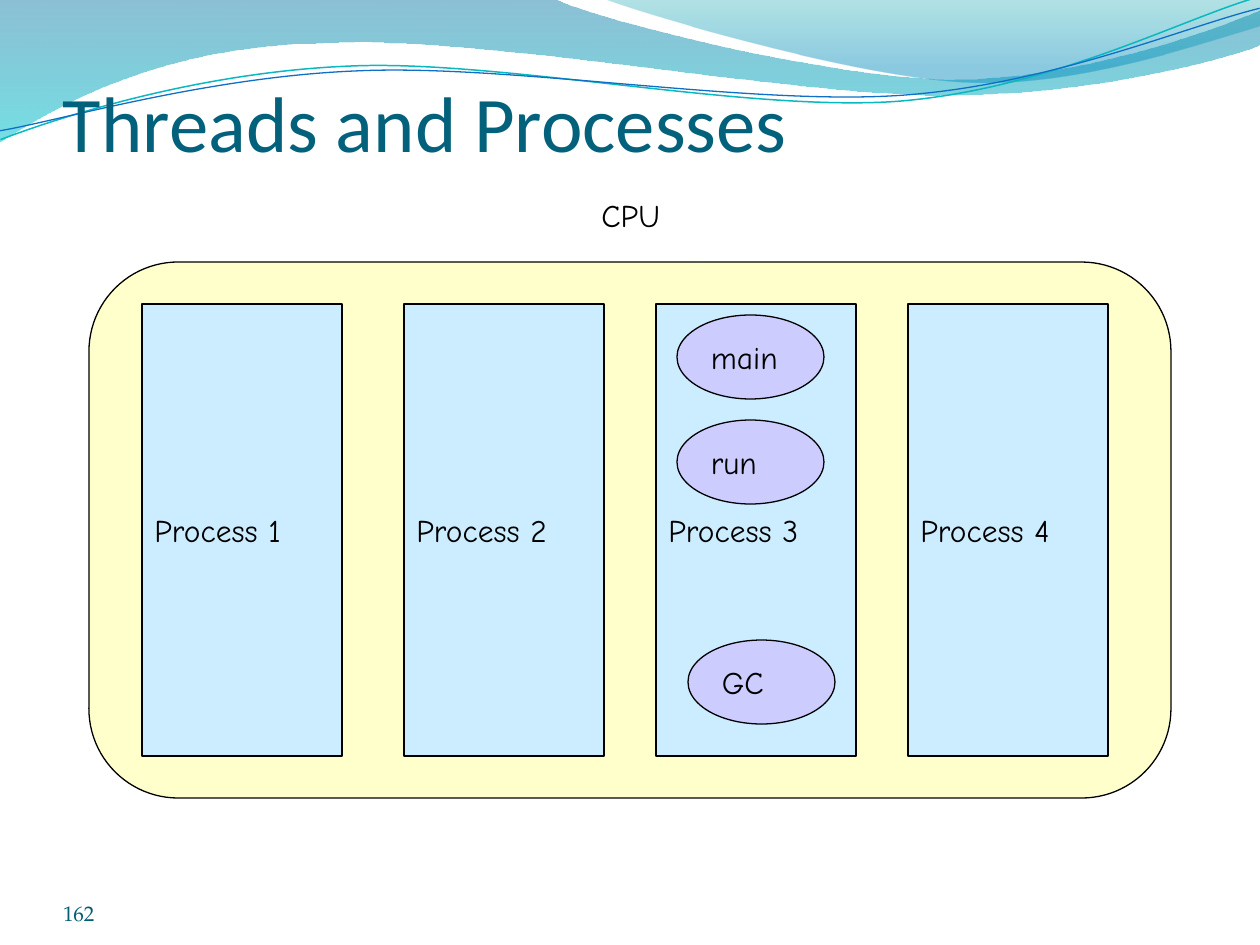
from pptx import Presentation
from pptx.dml.color import RGBColor
from pptx.enum.shapes import MSO_SHAPE
from pptx.enum.text import MSO_ANCHOR, MSO_AUTO_SIZE, PP_ALIGN
from pptx.oxml.ns import qn
from pptx.util import Pt
from lxml import etree

RECT, OVAL, ROUNDED = MSO_SHAPE.RECTANGLE, MSO_SHAPE.OVAL, MSO_SHAPE.ROUNDED_RECTANGLE
MIDDLE, BOTTOM, TOP = MSO_ANCHOR.MIDDLE, MSO_ANCHOR.BOTTOM, MSO_ANCHOR.TOP
LEFT = PP_ALIGN.LEFT
GROW = MSO_AUTO_SIZE.SHAPE_TO_FIT_TEXT
PX = 914400 / 126

THEME = {
    "cpu": "FFFFCC", "process": "CCECFF", "thread": "CCCCFF", "outline": "000000",
    "title": ("Calibri", 45, "04617B"),
    "label": ("Comic Neue", 18, "000000"),
    "number": ("TeX Gyre Pagella", 12, "045D75"),
    "wide wave": [(0, "0074A1", 45), (1, "00C6CF", 55)],
    "right wave": [(0, "00A1A9", 30), (0.8, "008BBF", 45)],
    "teal line": ("0AB8BF", 0.85),
    "blue line": ("0F6FC6", 0.75),
}


def write(shape, words, style, anchor, wrap=False):
    font_name, size, color = THEME[style]
    frame = shape.text_frame
    frame.text = words
    frame.word_wrap = wrap
    frame.vertical_anchor = anchor
    paragraph = frame.paragraphs[0]
    paragraph.alignment = LEFT
    font = paragraph.runs[0].font
    font.name, font.size = font_name, Pt(size)
    font.color.rgb = RGBColor.from_string(color)
    return frame


def trace(start, segments, closed):
    corners = [start] + [segment[-2:] for segment in segments]
    left = min(x for x, y in corners)
    top = min(y for x, y in corners)
    builder = shapes.build_freeform(*start, scale=PX)
    builder.add_line_segments(corners[1:], close=closed)
    outline = builder.convert_to_shape()
    outline.shadow.inherit = False
    steps = list(outline._element.iter(qn("a:lnTo")))
    for step, segment in zip(steps, segments):
        if len(segment) == 6:
            curve = etree.Element(qn("a:cubicBezTo"))
            for x, y in zip(segment[::2], segment[1::2]):
                etree.SubElement(curve, qn("a:pt"), x=str(x - left), y=str(y - top))
            step.getparent().replace(step, curve)
    return outline


deck = Presentation()
deck.slide_width, deck.slide_height = round(1260 * PX), round(945 * PX)
slide = deck.slides.add_slide(deck.slide_layouts[6])
shapes = slide.shapes

waves = [
    ("wide wave", (0, 0), [
        (554, -1), (600, 21, 837, 79, 955, 79), (1075, 79, 1207, 33, 1260, 11),
        (1261, 45), (1239, 55, 1096, 96, 940, 95), (784, 95, 481, 35, 324, 43),
        (163, 45, 58, 105, -1, 142), (0, 0)]),
    ("right wave", (604, -1), [
        (641, 14, 859, 78, 969, 82), (1079, 87, 1211, 40, 1260, 26),
        (1260, 0), (604, -1)]),
]
for style, start, segments in waves:
    wave = trace(start, segments, True)
    wave.line.fill.background()
    wave.fill.gradient()
    wave.fill.gradient_angle = 270
    for stop, (position, color, opacity) in zip(wave.fill.gradient_stops, THEME[style]):
        stop.position = position
        stop.color.rgb = RGBColor.from_string(color)
    tints = wave._element.spPr.iter(qn("a:srgbClr"))
    for tint, (position, color, opacity) in zip(tints, THEME[style]):
        etree.SubElement(tint, qn("a:alpha")).set("val", str(opacity * 1000))

wave_lines = [
    ("teal line", (-2, 110), [
        (59, 90, 199, 52, 350, 53), (499, 53, 745, 118, 896, 114),
        (1049, 109, 1184, 45, 1260, 27)]),
    ("blue line", (-2, 101), [
        (57, 94, 207, 57, 357, 58), (509, 58, 750, 112, 902, 108),
        (1052, 104, 1189, 52, 1262, 38)]),
]
for style, start, segments in wave_lines:
    color, width = THEME[style]
    wave_line = trace(start, segments, False)
    wave_line.rotation = 357.3
    wave_line.fill.background()
    wave_line.line.color.rgb = RGBColor.from_string(color)
    wave_line.line.width = Pt(width)

texts = [
    ("162", "number", (63, 876, 294, 50), BOTTOM, True, 0),
    ("Threads and Processes", "title", (63, 63, 1134, 105), BOTTOM, True, 6),
    ("CPU", "label", (589, 190, 84, 50), TOP, False, None),
]
for words, style, bounds, anchor, wrap, top_inset in texts:
    text_box = shapes.add_textbox(*(round(length * PX) for length in bounds))
    frame = write(text_box, words, style, anchor, wrap)
    if top_inset is None:
        frame.auto_size = GROW
    else:
        frame.margin_left = frame.margin_right = frame.margin_bottom = 0
        frame.margin_top = round(top_inset * PX)

blocks = [(ROUNDED, "cpu", (89, 262, 1082, 536), "")]
for number, left in ((1, 142), (3, 656), (2, 404), (4, 908)):
    blocks.append((RECT, "process", (left, 304, 200, 452), f"Process {number}"))
for thread, left, top in (("main", 677, 315), ("run", 677, 420), ("GC", 688, 640)):
    blocks.append((OVAL, "thread", (left, top, 147, 84), thread))

for preset, role, bounds, words in blocks:
    block = shapes.add_shape(preset, *(round(length * PX) for length in bounds))
    block.shadow.inherit = False
    block.fill.solid()
    block.fill.fore_color.rgb = RGBColor.from_string(THEME[role])
    block.line.color.rgb = RGBColor.from_string(THEME["outline"])
    block.line.width = Pt(0.75)
    if words:
        write(block, words, "label", MIDDLE)

deck.save("out.pptx")
